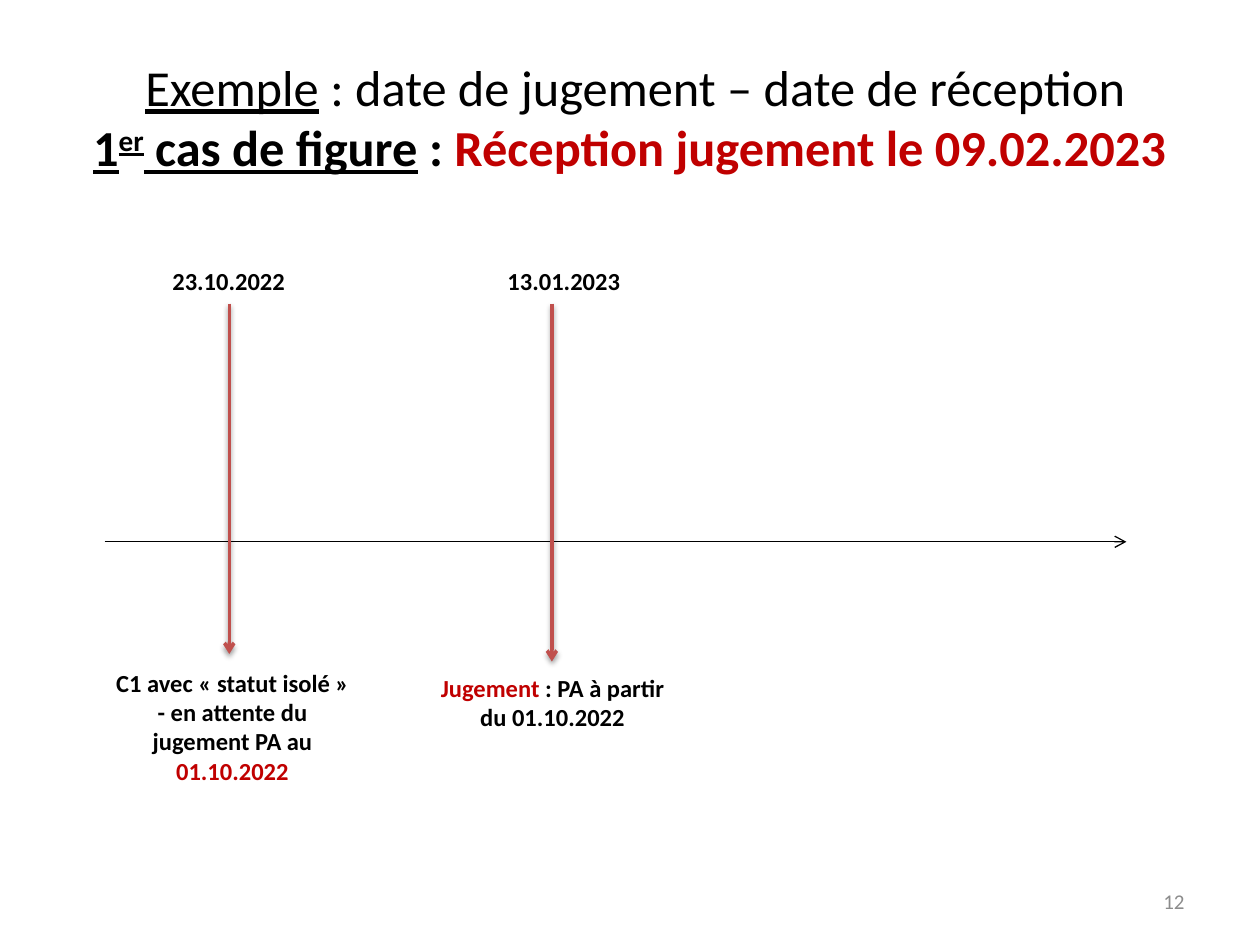
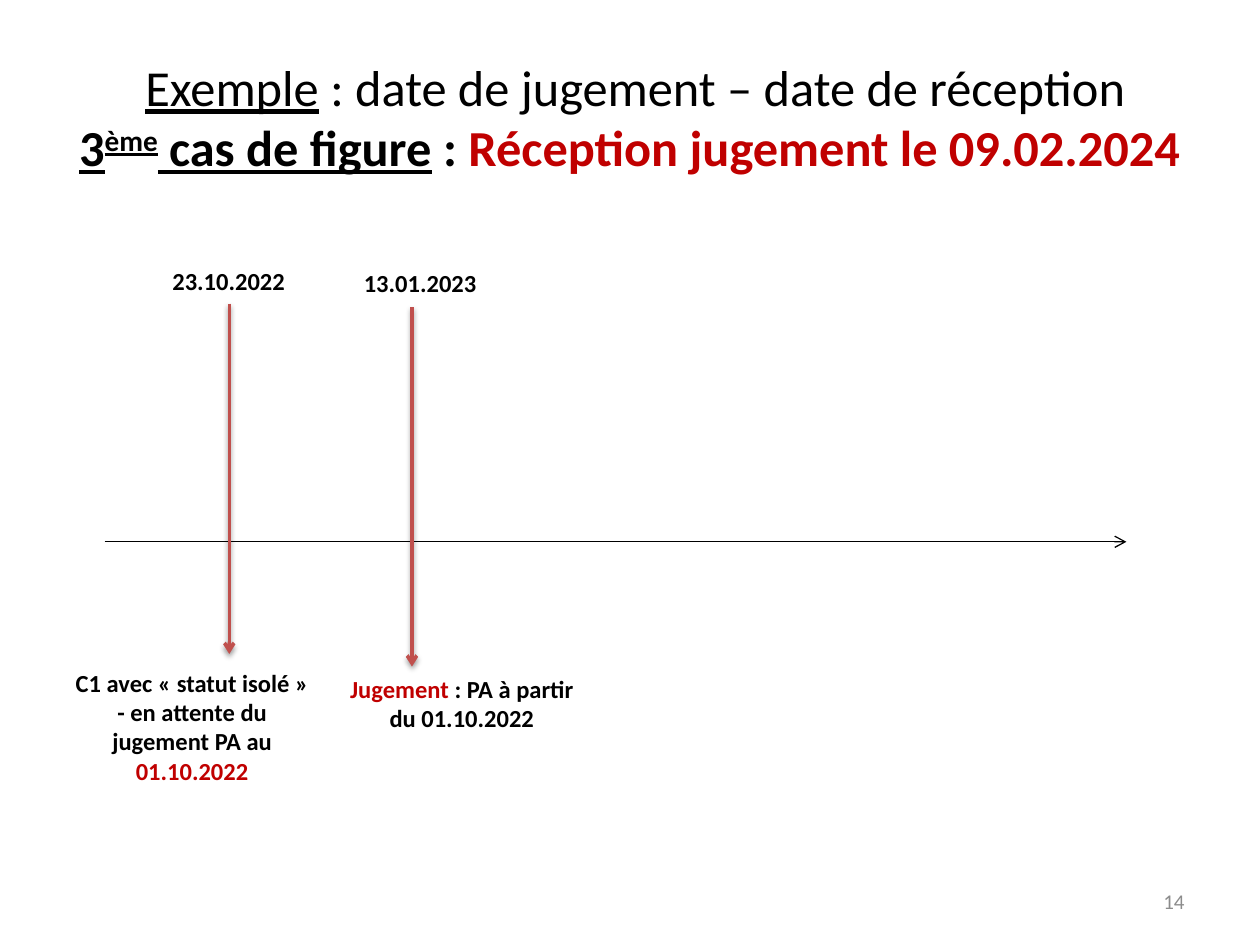
"""Build two timeline slides comparing judgment and reception dates."""
from lxml import etree
from pptx import Presentation, util as u
from pptx.dml import color
from pptx.enum import shapes, text
from pptx.oxml import ns

THEME = {
    "font": "Calibri",
    "black": "000000", "red": "C00000", "marker": "C0504D", "grey": "8C8C8C",
    "title": 28.8, "label": 14, "number": 12,
    "axis_width": 0.75, "marker_width": 2,
}
LABEL_WIDTH, DATE_HEIGHT = 2.05, 0.34
AXIS = (0.83, 4.3, 8.94, 4.3)
SHADOW = {"blurRad": u.Pt(3.1), "dist": u.Pt(1.6), "dir": 90 * 60000,
          "algn": "ctr", "rotWithShape": 0}


def write_text(shape, box, runs, size, align, anchor=text.MSO_ANCHOR.TOP):
    """Place a shape and fill its one paragraph with (text, colour, format) runs."""
    for side, value in zip(("left", "top", "width", "height"), box):
        setattr(shape, side, u.Inches(value))
    frame = shape.text_frame
    for name, value in {"word_wrap": True, "vertical_anchor": anchor,
                        "auto_size": text.MSO_AUTO_SIZE.NONE}.items():
        setattr(frame, name, value)
    paragraph = frame.paragraphs[0]
    paragraph.alignment = align
    for words, ink, style in runs:
        if words == "\n":
            paragraph.add_line_break()
            continue
        run = paragraph.add_run()
        run.text = words
        formats = {"name": THEME["font"], "size": u.Pt(size), **style}
        raised = formats.pop("raised", False)
        for name, value in formats.items():
            setattr(run.font, name, value)
        run.font.color.rgb = color.RGBColor.from_string(THEME[ink])
        if raised:
            run.font._element.set("baseline", "30000")


def add_arrow(slide, ends, ink, width, shadow=False):
    """Draw a straight open-headed arrow, with a soft shadow if asked."""
    arrow = slide.shapes.add_connector(
        shapes.MSO_CONNECTOR.STRAIGHT, *map(u.Inches, ends))
    arrow.line.color.rgb = color.RGBColor.from_string(THEME[ink])
    arrow.line.width = u.Pt(THEME[width])
    properties = arrow._element.spPr
    etree.SubElement(properties.find(ns.qn("a:ln")), ns.qn("a:tailEnd"), type="arrow")
    effects = etree.SubElement(properties, ns.qn("a:effectLst"))
    if shadow:
        outer = etree.SubElement(effects, ns.qn("a:outerShdw"),
                                 {key: str(value) for key, value in SHADOW.items()})
        tint = etree.SubElement(outer, ns.qn("a:srgbClr"), val=THEME["black"])
        etree.SubElement(tint, ns.qn("a:alpha"), val="38000")


BOLD = {"bold": True}
UNDERLINED = {"underline": True}
BOLD_UNDERLINED = BOLD | UNDERLINED
CENTER, RIGHT = text.PP_ALIGN.CENTER, text.PP_ALIGN.RIGHT
MIDDLE = text.MSO_ANCHOR.MIDDLE

WAITING = [("C1 avec « statut isolé » - en attente du jugement PA au ", "black", BOLD),
           ("01.10.2022", "red", BOLD)]
JUDGMENT = [("Jugement", "red", BOLD), (" : PA à partir du 01.10.2022", "black", BOLD)]

CASES = [
    {"rank": "1", "suffix": "er", "reception": "09.02.2023", "page": "12", "events": [
        {"date": "23.10.2022", "date_at": (0.79, 2.06), "arrow": (1.82, 2.41, 1.82, 5.19),
         "note": WAITING, "note_at": (0.82, 5.25), "note_height": 1.04},
        {"date": "13.01.2023", "date_at": (3.45, 2.06), "arrow": (4.38, 2.41, 4.38, 5.25),
         "note": JUDGMENT, "note_at": (3.36, 5.29), "note_height": 0.57},
    ]},
    {"rank": "3", "suffix": "ème", "reception": "09.02.2024", "page": "14", "events": [
        {"date": "23.10.2022", "date_at": (0.79, 2.06), "arrow": (1.82, 2.41, 1.82, 5.19),
         "note": WAITING, "note_at": (0.5, 5.25), "note_height": 1.04},
        {"date": "13.01.2023", "date_at": (2.31, 2.08), "arrow": (3.27, 2.44, 3.27, 5.29),
         "note": JUDGMENT, "note_at": (2.64, 5.3), "note_height": 0.57},
    ]},
]

deck = Presentation()
deck.slide_width, deck.slide_height = u.Inches(10), u.Inches(7.5)
title_only = deck.slide_layouts[5]

for case in CASES:
    slide = deck.slides.add_slide(title_only)
    heading = [
        ("Exemple", "black", UNDERLINED),
        (" : date de jugement – date de réception", "black", {}),
        ("\n", "black", {}),
        (case["rank"], "black", BOLD_UNDERLINED),
        (case["suffix"], "black", BOLD_UNDERLINED | {"raised": True}),
        (" cas de figure", "black", BOLD_UNDERLINED),
        (" : ", "black", BOLD),
        (f"Réception jugement le {case['reception']} ", "red", BOLD),
    ]
    write_text(slide.shapes.title, (0.28, 0.3, 9.53, 1.25), heading,
               THEME["title"], CENTER, MIDDLE)
    add_arrow(slide, AXIS, "black", "axis_width")

    for event in case["events"]:
        add_arrow(slide, event["arrow"], "marker", "marker_width", shadow=True)
        captions = [
            (event["date_at"], DATE_HEIGHT, [(event["date"], "black", BOLD)]),
            (event["note_at"], event["note_height"], event["note"]),
        ]
        for corner, height, runs in captions:
            caption = slide.shapes.add_textbox(0, 0, 0, 0)
            write_text(caption, (*corner, LABEL_WIDTH, height), runs,
                       THEME["label"], CENTER)

    page_number = slide.shapes.add_textbox(0, 0, 0, 0)
    write_text(page_number, (7.17, 6.95, 2.33, 0.4), [(case["page"], "grey", {})],
               THEME["number"], RIGHT, MIDDLE)

deck.save("out.pptx")
